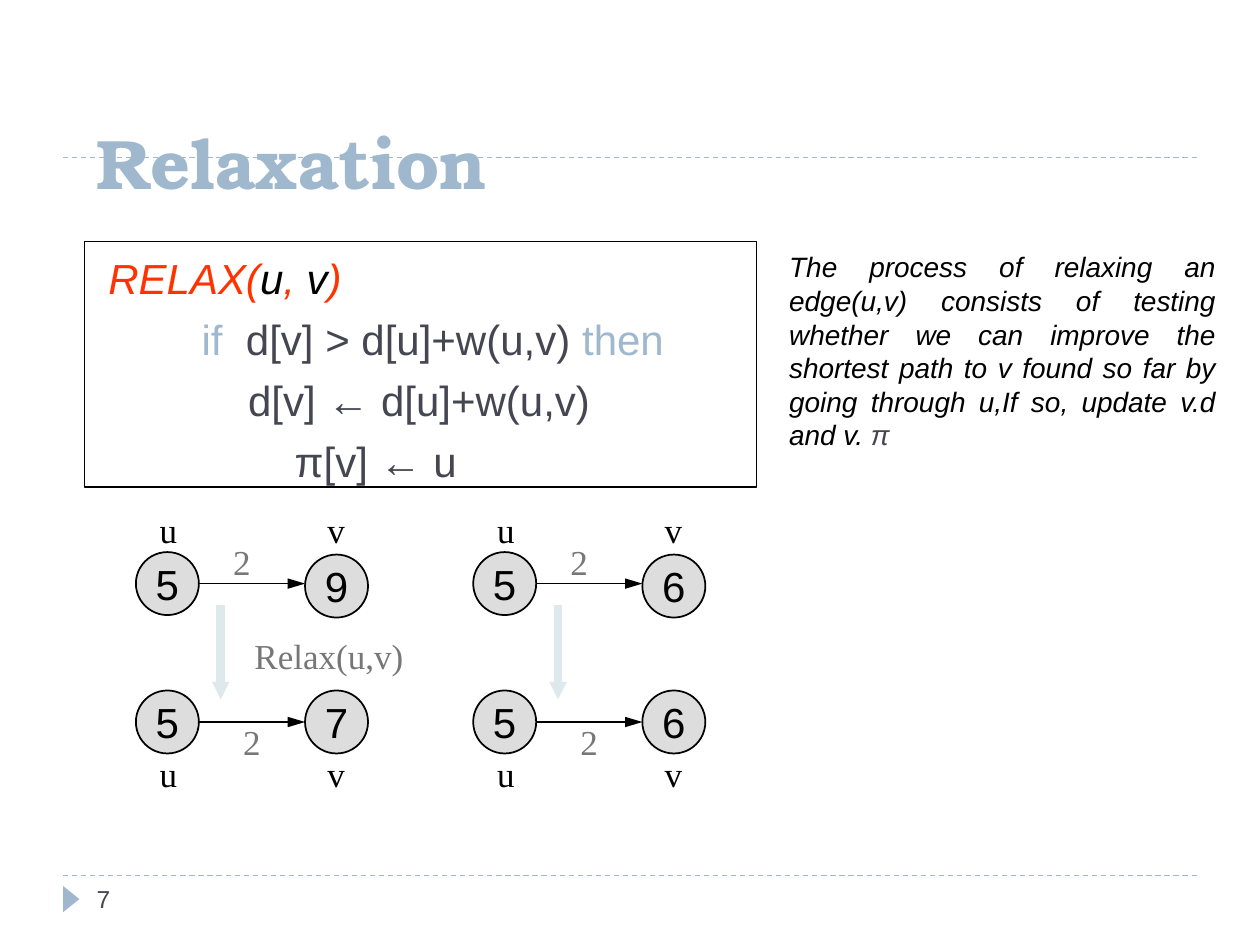
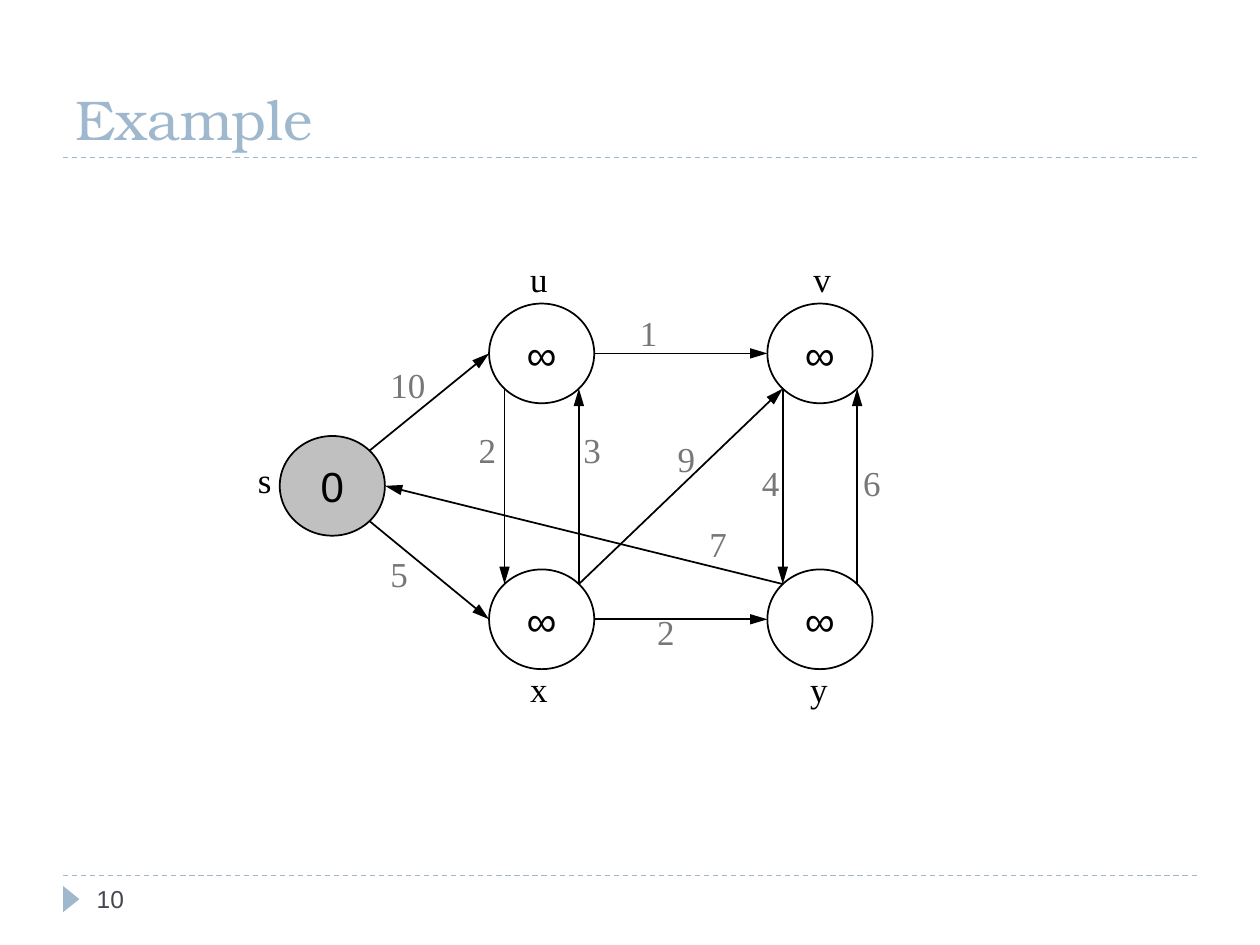
import lxml.etree
import pptx
import pptx.dml.color
import pptx.enum.dml
import pptx.enum.shapes
import pptx.enum.text
import pptx.oxml.ns
import pptx.util
from pptx.util import Cm

COLORS = {
    "accent": "9FB8CD",
    "pale": "DDE9EC",
    "dark": "464653",
    "black": "000000",
    "weight": "777777",
    "node": "DDDDDD",
    "source": "C0C0C0",
    "keyword": "FF3300",
}
SANS = "Arial"
SERIF = "Times New Roman"
DISPLAY = "TeX Gyre Bonum"
SHAPES = pptx.enum.shapes.MSO_SHAPE
ALIGN = pptx.enum.text.PP_ALIGN
ANCHOR = pptx.enum.text.MSO_ANCHOR
DIAGONAL = 0.707
SITES = {
    "left": (-1, 0),
    "right": (1, 0),
    "top left": (-DIAGONAL, -DIAGONAL),
    "top right": (DIAGONAL, -DIAGONAL),
    "bottom left": (-DIAGONAL, DIAGONAL),
    "bottom right": (DIAGONAL, DIAGONAL),
}


def rgb(name):
    return pptx.dml.color.RGBColor.from_string(COLORS[name])


def write(para, text, font=SANS, size=24, color="black", bold=False, italic=False):
    span = para.add_run()
    span.text = text
    span.font.name = font
    span.font.size = pptx.util.Pt(size)
    span.font.color.rgb = rgb(color)
    span.font.bold = bold
    span.font.italic = italic


def add_text_box(page, left, top, width, height):
    box = page.shapes.add_textbox(Cm(left), Cm(top), Cm(width), Cm(height))
    box.text_frame.word_wrap = True
    box.text_frame.margin_top = Cm(0.17)
    return box


def add_label(page, text, left, top, width=1.4, color="black"):
    box = add_text_box(page, left, top, width, 1.09)
    write(box.text_frame.paragraphs[0], text, font=SERIF, size=20, color=color)


def add_line(page, start, end, color="black", width=1, dashed=False, head=None):
    line = page.shapes.add_connector(
        pptx.enum.shapes.MSO_CONNECTOR.STRAIGHT,
        Cm(start[0]), Cm(start[1]), Cm(end[0]), Cm(end[1]))
    line.line.color.rgb = rgb(color)
    line.line.width = pptx.util.Pt(width)
    if dashed:
        line.line.dash_style = pptx.enum.dml.MSO_LINE.DASH
    properties = line._element.spPr
    if head:
        outline = properties.find(pptx.oxml.ns.qn("a:ln"))
        lxml.etree.SubElement(outline, pptx.oxml.ns.qn("a:tailEnd"),
                              type="triangle", w=head[0], len=head[1])
    lxml.etree.SubElement(properties, pptx.oxml.ns.qn("a:effectLst"))


def add_edge(page, start, end):
    add_line(page, start, end, head=("med", "lg"))


def add_node(page, text, left, top, width, height, fill=None):
    node = page.shapes.add_shape(SHAPES.OVAL, Cm(left), Cm(top), Cm(width), Cm(height))
    node.shadow.inherit = False
    if fill:
        node.fill.solid()
        node.fill.fore_color.rgb = rgb(fill)
    else:
        node.fill.background()
    node.line.color.rgb = rgb("black")
    node.line.width = pptx.util.Pt(1)
    frame = node.text_frame
    frame.word_wrap = False
    frame.vertical_anchor = ANCHOR.MIDDLE
    frame.paragraphs[0].alignment = ALIGN.CENTER
    write(frame.paragraphs[0], text)
    return node


def site(node, name):
    across, down = SITES[name]
    return (pptx.util.Length(node.left + node.width * (1 + across) / 2).cm,
            pptx.util.Length(node.top + node.height * (1 + down) / 2).cm)


def add_page(deck, number, title, left, top, width, height, **title_format):
    page = deck.slides.add_slide(deck.slide_layouts.get_by_name("Title Only"))
    for rule_top in (17.65, 3.18):
        add_line(page, (1.27, rule_top), (24.13, rule_top),
                 color="accent", width=0.75, dashed=True)
    marker = page.shapes.add_shape(
        SHAPES.ISOSCELES_TRIANGLE, Cm(1.17), Cm(17.96), Cm(0.53), Cm(0.33))
    marker.rotation = 90
    marker.shadow.inherit = False
    marker.fill.solid()
    marker.fill.fore_color.rgb = rgb("accent")
    marker.line.fill.background()

    heading = page.shapes.title
    heading.left, heading.top = Cm(left), Cm(top)
    heading.width, heading.height = Cm(width), Cm(height)
    frame = heading.text_frame
    frame.auto_size = pptx.enum.text.MSO_AUTO_SIZE.NONE
    frame.vertical_anchor = ANCHOR.BOTTOM
    frame.paragraphs[0].alignment = ALIGN.LEFT
    write(frame.paragraphs[0], title, font=DISPLAY, color="accent", **title_format)

    footer = add_text_box(page, 1.7, 17.65, 5.5, 1.02)
    write(footer.text_frame.paragraphs[0], str(number), size=14, color="dark")
    return page


def add_relax_code(page):
    lines = [
        [(" ", "black"), ("RELAX(", "keyword"), ("u", "black"), (", ", "keyword"),
         ("v", "black"), (")", "keyword")],
        [("         if", "accent"), ("  d[v] > d[u]+w(u,v) ", "dark"), ("then", "accent")],
        [("             d[v] ← d[u]+w(u,v)", "dark")],
        [("                 π[v] ← u", "dark")],
    ]
    box = add_text_box(page, 1.7, 4.87, 13.55, 4.95)
    box.line.color.rgb = rgb("black")
    box.line.width = pptx.util.Pt(0.75)
    frame = box.text_frame
    frame.margin_top = Cm(0.22)
    for index, spans in enumerate(lines):
        para = frame.add_paragraph() if index else frame.paragraphs[0]
        if index:
            para.space_before = pptx.util.Pt(6)
        for text, color in spans:
            write(para, text, color=color, italic=index == 0)


def add_relax_case(page, left, before, after):
    size = 1.27
    rows = [
        (11.13, 11.18, before, 10.08, (1.71, 10.72)),
        (13.92, 13.92, after, 14.99, (1.91, 14.35)),
    ]
    for u_top, v_top, value, names_top, (weight_left, weight_top) in rows:
        u = add_node(page, "5", left, u_top, size, size, fill="node")
        v = add_node(page, value, left + 3.41, v_top, size, size, fill="node")
        start = site(u, "right")
        add_edge(page, start, (site(v, "left")[0], start[1]))
        add_label(page, "u", left + 0.23, names_top, width=0.9)
        add_label(page, "v", left + 3.61, names_top, width=0.9)
        add_label(page, "2", left + weight_left, weight_top, color="weight")
    add_line(page, (left + 1.71, 12.19), (left + 1.71, 14.1),
             color="pale", width=5, head=("sm", "sm"))


def add_relaxation_page(deck):
    page = add_page(deck, 7, "Relaxation", 1.7, 1.06, 21.59, 3.18, size=40, bold=True)
    add_relax_code(page)
    add_relax_case(page, 2.74, "9", "7")
    add_relax_case(page, 9.54, "6", "6")
    add_label(page, "Relax(u,v)", 4.88, 12.62, width=4.45, color="weight")

    para = add_text_box(page, 15.66, 4.87, 9.1, 4.37).text_frame.paragraphs[0]
    para.alignment = ALIGN.JUSTIFY
    write(para, "The process of relaxing an edge(u,v) consists of testing whether we can "
          "improve the shortest path to v found so far by going through u,If so, "
          "update v.d and v.", size=16, italic=True)
    write(para, " π", size=16, color="dark", italic=True)


def add_example_page(deck):
    page = add_page(deck, 10, "Example", 1.27, 0.43, 22.86, 2.75, size=32)
    places = {
        "s": (5.64, 8.79), "u": (9.86, 6.12), "v": (15.47, 6.12),
        "x": (9.86, 11.48), "y": (15.47, 11.48),
    }
    nodes = {}
    for name, (left, top) in places.items():
        is_source = name == "s"
        nodes[name] = add_node(page, "0" if is_source else "∞", left, top, 2.12, 2.01,
                               fill="source" if is_source else None)
    edges = [
        ("u", "bottom left", "x", "top left", "2", 9.4, 8.46),
        ("x", "top right", "u", "bottom right", "3", 11.51, 8.46),
        ("u", "right", "v", "left", "1", 12.65, 6.1),
        ("x", "top right", "v", "bottom left", "9", 13.41, 8.64),
        ("v", "bottom left", "y", "top left", "4", 15.11, 9.14),
        ("y", "top right", "v", "bottom right", "6", 17.15, 9.14),
        ("x", "right", "y", "left", "2", 13, 12.14),
        ("y", "top left", "s", "right", "7", 14.05, 10.36),
        ("s", "bottom right", "x", "left", "5", 7.62, 10.97),
        ("s", "top right", "u", "left", "10", 7.62, 7.16),
    ]
    for tail, tail_site, tip, tip_site, weight, left, top in edges:
        add_edge(page, site(nodes[tail], tail_site), site(nodes[tip], tip_site))
        add_label(page, weight, left, top, color="weight")
    names = [("s", 4.95, 9.07), ("u", 10.44, 5.03), ("v", 16.15, 5.03),
             ("x", 10.44, 13.28), ("y", 16.08, 13.28)]
    for name, left, top in names:
        add_label(page, name, left, top)


def main():
    deck = pptx.Presentation()
    deck.slide_width, deck.slide_height = Cm(25.4), Cm(19.05)
    add_relaxation_page(deck)
    add_example_page(deck)
    deck.save("out.pptx")


if __name__ == "__main__":
    main()
